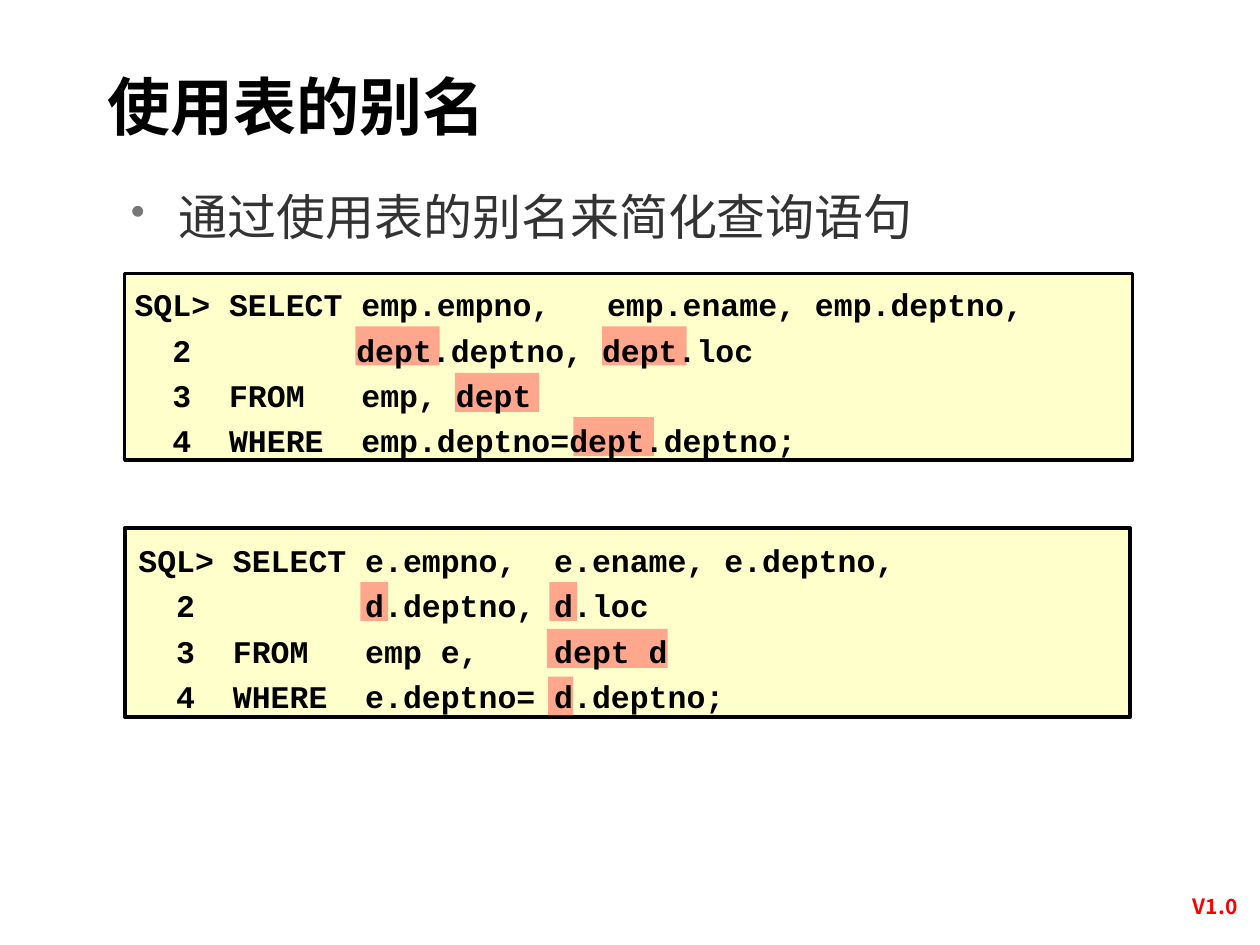
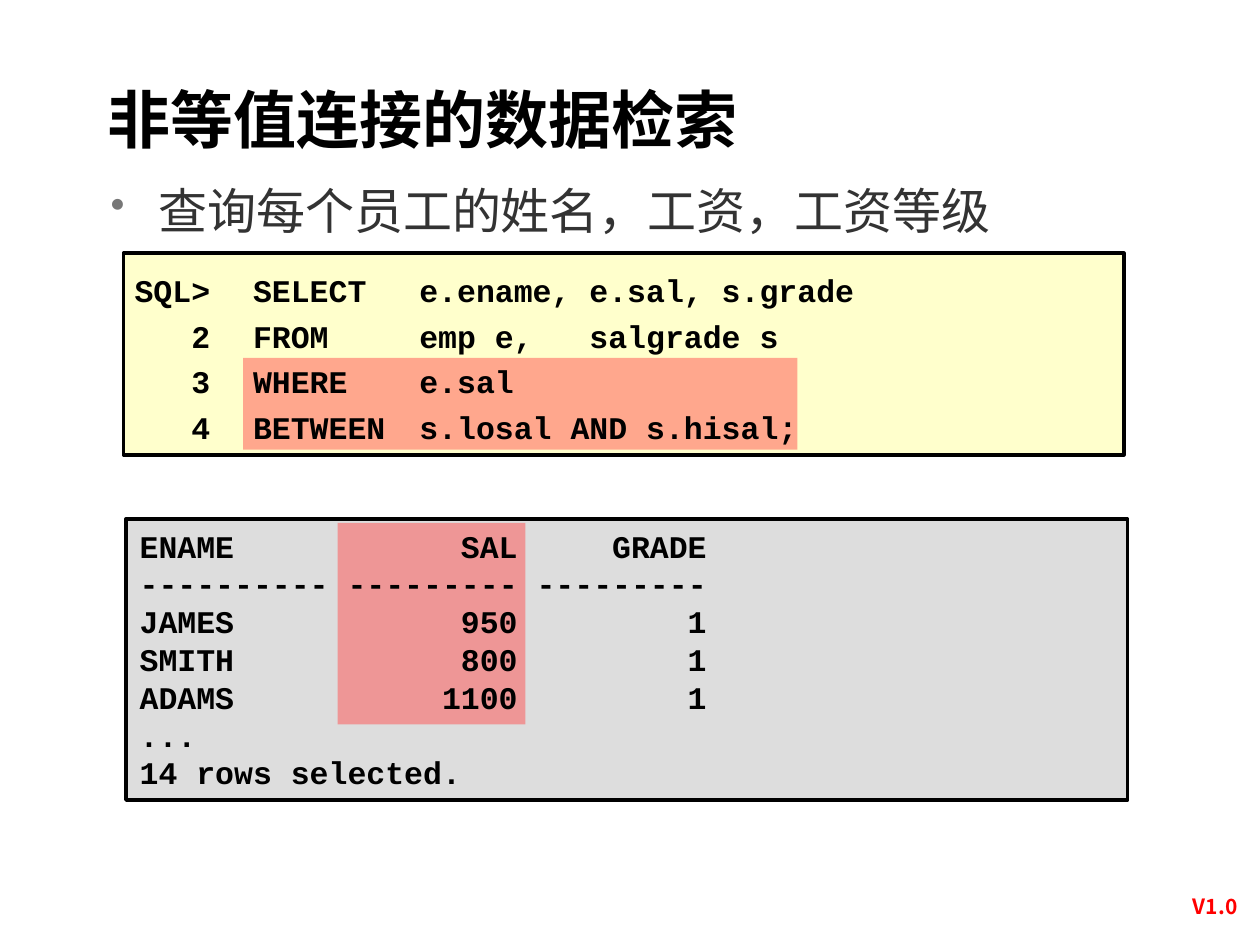
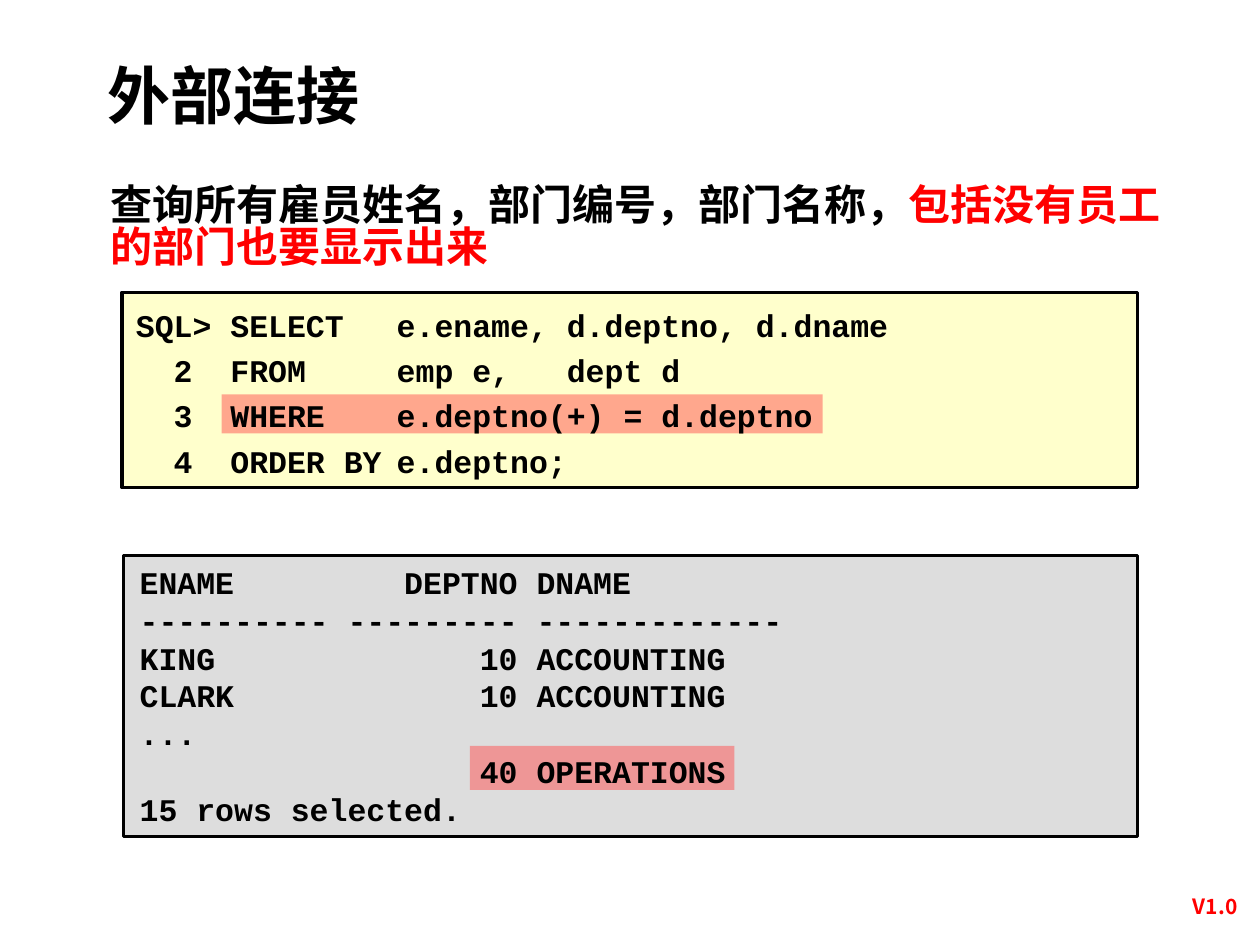
from dataclasses import dataclass, field

import lxml.etree
import pptx
import pptx.dml.color
import pptx.enum.shapes
import pptx.enum.text
import pptx.oxml.ns
import pptx.util

Inches = pptx.util.Inches
qn = pptx.oxml.ns.qn

BLACK = "000000"
RED = "FF0000"
BODY_GREY = "333333"
BULLET_GREY = "777777"
CODE_FILL = "FFFFCC"
OUTPUT_FILL = "DDDDDD"
HIGHLIGHT = "FF5050"
SANS = "Noto Sans CJK SC"
MONO = "Courier New"
CHAR = 0.15
MARK_H = 0.31

Box = tuple[float, float, float, float]
Tab = tuple[float, str]


@dataclass
class Panel:
    box: Box
    text_box: Box
    lines: list[str]
    tabs: list[Tab]
    fill: str = CODE_FILL
    spacing: float = 1.2
    line_tabs: dict[int, list[Tab]] = field(default_factory=dict)


@dataclass
class Page:
    title: str
    title_top: float
    title_height: float
    panels: list[Panel]
    marks: list[Box]


def rgb(value: str) -> pptx.dml.color.RGBColor:
    return pptx.dml.color.RGBColor.from_string(value)


def left_tabs(*positions: float) -> list[Tab]:
    return [(position, "l") for position in positions]


def add_run(p, text: str, *, size: float, color: str = BLACK,
            bold: bool = True, font: str = SANS) -> None:
    r = p.add_run()
    r.text = text
    r.font.size = pptx.util.Pt(size)
    r.font.bold = bold
    r.font.name = font
    r.font.color.rgb = rgb(color)
    ea = lxml.etree.SubElement(r.font._element, qn("a:ea"))
    ea.set("typeface", font)


def set_tabs(p, tabs: list[Tab]) -> None:
    tab_list = lxml.etree.SubElement(p._p.get_or_add_pPr(), qn("a:tabLst"))
    for position, align in tabs:
        tab = lxml.etree.SubElement(tab_list, qn("a:tab"))
        tab.set("pos", str(Inches(position)))
        tab.set("algn", align)


def set_bullet(p) -> None:
    pPr = p._p.get_or_add_pPr()
    pPr.set("marL", str(Inches(0.38)))
    pPr.set("indent", str(Inches(-0.38)))
    color = lxml.etree.SubElement(pPr, qn("a:buClr"))
    lxml.etree.SubElement(color, qn("a:srgbClr")).set("val", BULLET_GREY)
    lxml.etree.SubElement(pPr, qn("a:buSzPct")).set("val", "85000")
    lxml.etree.SubElement(pPr, qn("a:buChar")).set("char", "•")


def add_text_frame(s, box: Box):
    sp = s.shapes.add_textbox(*map(Inches, box))
    sp.text_frame.word_wrap = True
    return sp.text_frame


def add_rect(s, box: Box, fill: str):
    sp = s.shapes.add_shape(
        pptx.enum.shapes.MSO_SHAPE.RECTANGLE, *map(Inches, box))
    sp.shadow.inherit = False
    sp.fill.solid()
    sp.fill.fore_color.rgb = rgb(fill)
    return sp


def add_panel(s, panel: Panel) -> None:
    sp = add_rect(s, panel.box, panel.fill)
    sp.line.color.rgb = rgb(BLACK)
    sp.line.width = pptx.util.Pt(2)


def add_mark(s, box: Box) -> None:
    sp = add_rect(s, box, HIGHLIGHT)
    sp.line.fill.background()
    color = sp.fill._xPr.find(".//" + qn("a:srgbClr"))
    lxml.etree.SubElement(color, qn("a:alpha")).set("val", "50000")


def add_panel_text(s, panel: Panel) -> None:
    tf = add_text_frame(s, panel.text_box)
    if panel.fill == CODE_FILL:
        tf.vertical_anchor = pptx.enum.text.MSO_ANCHOR.MIDDLE
    for i, line in enumerate(panel.lines):
        p = tf.add_paragraph() if i else tf.paragraphs[0]
        p.line_spacing = panel.spacing
        set_tabs(p, panel.line_tabs.get(i, panel.tabs))
        add_run(p, line, size=18, font=MONO)


def add_title(s, page: Page) -> None:
    sp = s.shapes.title
    sp.left, sp.top = Inches(0.75), Inches(page.title_top)
    sp.width, sp.height = Inches(8.5), Inches(page.title_height)
    tf = sp.text_frame
    tf.word_wrap = True
    tf.vertical_anchor = pptx.enum.text.MSO_ANCHOR.TOP
    p = tf.paragraphs[0]
    p.alignment = pptx.enum.text.PP_ALIGN.LEFT
    p.line_spacing = 0.88
    add_run(p, page.title, size=36)


def add_bullet(s, box: Box, text: str) -> None:
    p = add_text_frame(s, box).paragraphs[0]
    p.line_spacing = 1.05
    set_bullet(p)
    add_run(p, text, size=28, color=BODY_GREY, bold=False)


def add_page(prs, page: Page):
    s = prs.slides.add_slide(prs.slide_layouts[5])
    for panel in page.panels:
        add_panel(s, panel)
    add_title(s, page)
    for mark in page.marks:
        add_mark(s, mark)
    for panel in page.panels:
        add_panel_text(s, panel)
    return s


def add_master_version(prs, s) -> None:
    sp = s.shapes.add_textbox(*map(Inches, (9.25, 7.07, 0.79, 0.3)))
    p = sp.text_frame.paragraphs[0]
    sp.text_frame.word_wrap = True
    p.alignment = pptx.enum.text.PP_ALIGN.CENTER
    p.line_spacing = 0.88
    add_run(p, "V1.0", size=12, color=RED)
    prs.slide_master.shapes.element.append(sp.element)


ALIAS = Page(
    "使用表的别名", 0.56, 0.83,
    [
        Panel((0.99, 2.17, 8, 1.48), (0.97, 2.17, 8.03, 1.51),
              ["SQL>\tSELECT emp.empno,\temp.ename, emp.deptno,",
               "\t2\t\tdept.deptno, dept.loc",
               "\t3\tFROM\temp, dept",
               "\t4\tWHERE\temp.deptno=dept.deptno;"],
              left_tabs(2 * CHAR, 5 * CHAR, 12 * CHAR, 25 * CHAR),
              line_tabs={1: left_tabs(2 * CHAR, 5 * CHAR, 1.76)}),
        Panel((0.99, 4.19, 7.98, 1.5), (1, 4.19, 8.01, 1.53),
              ["SQL>\tSELECT e.empno,\te.ename, e.deptno,",
               "\t2\t\td.deptno, d.loc",
               "\t3\tFROM\temp e,\tdept d",
               "\t4\tWHERE\te.deptno= d.deptno;"],
              left_tabs(2 * CHAR, 5 * CHAR, 12 * CHAR, 22 * CHAR)),
    ],
    [(x, y, w, MARK_H) for x, y, w in [
        (2.86, 4.62, 0.22), (4.36, 4.62, 0.22), (4.34, 4.99, 0.96),
        (4.35, 5.37, 0.2), (2.82, 2.59, 0.67), (4.78, 2.59, 0.67),
        (3.61, 2.96, 0.67), (4.55, 3.31, 0.64)]],
)

NON_EQUI = Page(
    "非等值连接的数据检索", 0.67, 1,
    [
        Panel((0.98, 2.01, 7.94, 1.6), (0.97, 2, 7.97, 1.63),
              ["SQL>\tSELECT\te.ename, e.sal, s.grade",
               "\t2\tFROM\temp e,\tsalgrade s",
               "\t3\tWHERE\te.sal",
               "\t4\tBETWEEN\ts.losal AND s.hisal;"],
              left_tabs(3 * CHAR, 0.94, 2.26, 2.26 + 9 * CHAR)),
        Panel((1, 4.12, 7.95, 2.23), (1.01, 4.13, 7.92, 2.2),
              ["ENAME\tSAL\tGRADE",
               "---------- --------- ---------",
               "JAMES\t950\t1",
               "SMITH\t800\t1",
               "ADAMS\t1100\t1",
               "...",
               "14 rows selected."],
              [(20 * CHAR, "r"), (30 * CHAR, "r")], OUTPUT_FILL, 1.0),
    ],
    [(1.93, 2.84, 4.4, 0.73), (2.68, 4.15, 1.49, 1.6)],
)

OUTER = Page(
    "外部连接", 0.48, 0.83,
    [
        Panel((0.97, 2.32, 8.06, 1.55), (0.98, 2.3, 8.08, 1.57),
              ["SQL>\tSELECT\te.ename, d.deptno, d.dname",
               "\t2\tFROM\temp e,\tdept d",
               "\t3\tWHERE\te.deptno(+) = d.deptno",
               "\t4\tORDER BY\te.deptno;"],
              left_tabs(2 * CHAR, 5 * CHAR, 2.07, 2.07 + 9 * CHAR)),
        Panel((0.98, 4.41, 8.05, 2.23), (1.01, 4.42, 8.02, 2.2),
              ["ENAME\tDEPTNO\tDNAME",
               "---------- --------- -------------",
               "KING\t10\tACCOUNTING",
               "CLARK\t10\tACCOUNTING",
               "...",
               "\t40\tOPERATIONS",
               "15 rows selected."],
              [(20 * CHAR, "r"), (21 * CHAR, "l")], OUTPUT_FILL, 1.0),
    ],
    [(1.76, 3.13, 4.77, MARK_H), (3.73, 5.92, 2.1, 0.35)],
)


def main() -> None:
    prs = pptx.Presentation()
    prs.slide_width, prs.slide_height = Inches(10), Inches(7.5)

    s = add_page(prs, ALIAS)
    add_bullet(s, (0.94, 1.41, 8.08, 0.67), "通过使用表的别名来简化查询语句")
    add_master_version(prs, s)

    s = add_page(prs, NON_EQUI)
    add_bullet(s, (0.78, 1.36, 7.97, 0.67), "查询每个员工的姓名，工资，工资等级")

    s = add_page(prs, OUTER)
    p = add_text_frame(s, (0.78, 1.44, 8.67, 0.91)).paragraphs[0]
    p.line_spacing = 0.82
    add_run(p, "查询所有雇员姓名，部门编号，部门名称，", size=24)
    add_run(p, "包括没有员工的部门也要显示出来", size=24, color=RED)

    prs.save("out.pptx")


main()
